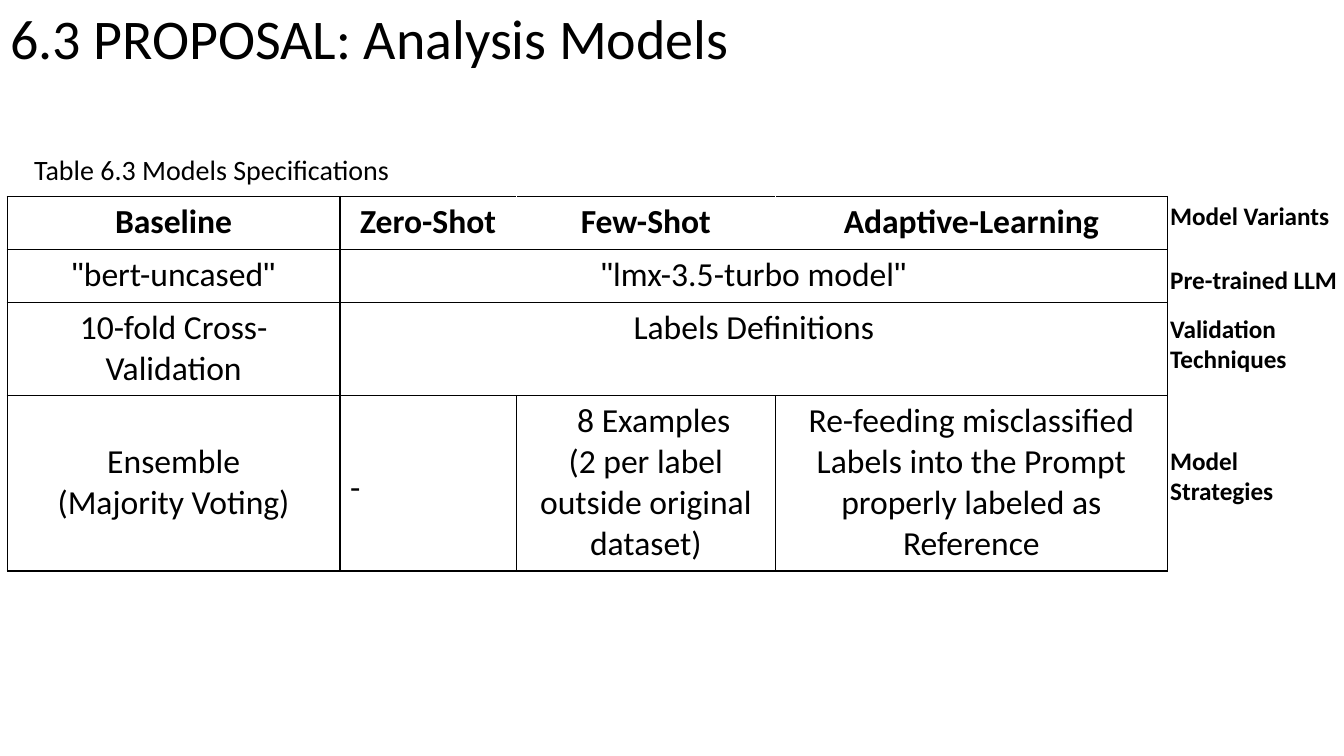
from itertools import groupby

from lxml import etree
from pptx import Presentation
from pptx.dml.color import RGBColor
from pptx.enum import text
from pptx.oxml import ns
from pptx.util import Cm, Pt

BLACK = RGBColor(0x00, 0x00, 0x00)
WHITE = RGBColor(0xFF, 0xFF, 0xFF)
SLIDE_WIDTH, SLIDE_HEIGHT = Cm(33.87), Cm(19.05)
COLUMN_WIDTHS = (8.39, 4.44, 6.53, 9.88)
ROW_HEIGHTS = (1.34, 1.34, 2.34, 4.42)
SPECIFICATIONS = (
    ("Baseline", "Zero-Shot", "Few-Shot", "Adaptive-Learning"),
    ('"bert-uncased"', '"lmx-3.5-turbo model"', None, None),
    ("10-fold Cross-Validation", "Labels Definitions", None, None),
    (
        "Ensemble\n(Majority Voting)",
        "-",
        "8 Examples\n(2 per label outside original dataset)",
        "Re-feeding misclassified Labels into the Prompt properly labeled as Reference",
    ),
)
ROW_LABELS = (
    ("Model Variants", 0),
    ("Pre-trained LLM", 1.61),
    ("Validation\nTechniques", 2.83),
    ("Model\nStrategies", 6.16),
)


def write_text(frame, content, size=24, bold=False, align=text.PP_ALIGN.LEFT):
    """Fill a text frame, one paragraph a line, with straight quotes in Arial."""
    frame.word_wrap = True
    for number, line in enumerate(content.split("\n")):
        paragraph = frame.add_paragraph() if number else frame.paragraphs[0]
        paragraph.alignment = align
        for quoted, letters in groupby(line, key=lambda letter: letter == '"'):
            run = paragraph.add_run()
            run.text = "".join(letters)
            run.font.name = "Arial" if quoted else "Calibri"
            run.font.size = Pt(size)
            run.font.bold = bold
            run.font.color.rgb = BLACK


def add_label(slide, content, left, top, width, height, **style):
    """Add a text box with the given text format."""
    label = slide.shapes.add_textbox(left, top, width, height).text_frame
    write_text(label, content, **style)
    return label


def draw_borders(cell, colors):
    """Draw one-point borders on the left, right, top and bottom of a cell."""
    properties = cell._tc.get_or_add_tcPr()
    for side, color in zip(("lnL", "lnR", "lnT", "lnB"), colors):
        border = etree.SubElement(properties, ns.qn(f"a:{side}"), w=str(Pt(1)))
        fill = etree.SubElement(border, ns.qn("a:solidFill"))
        etree.SubElement(fill, ns.qn("a:srgbClr"), val=str(color))


def build_title(slide, left, top, width, height):
    """Place and format the slide title."""
    heading = slide.shapes.title
    heading.left, heading.top, heading.width, heading.height = left, top, width, height
    frame = heading.text_frame
    write_text(frame, "6.3 PROPOSAL: Analysis Models", size=40)
    frame.auto_size = text.MSO_AUTO_SIZE.NONE
    frame.vertical_anchor = text.MSO_ANCHOR.MIDDLE
    frame.paragraphs[0].line_spacing = 0.9


def build_specifications(slide, left, top, width, height):
    """Place the caption and the table of model specifications."""
    add_label(slide, "Table 6.3 Models Specifications",
              left + Cm(0.43), top - Cm(1.22), Cm(14.25), Cm(1.19), size=20)
    models = slide.shapes.add_table(
        len(ROW_HEIGHTS), len(COLUMN_WIDTHS), left, top, width, height).table
    models.first_row = models.horz_banding = False
    for column, column_width in zip(models.columns, COLUMN_WIDTHS):
        column.width = Cm(column_width)
    for row, row_height in zip(models.rows, ROW_HEIGHTS):
        row.height = Cm(row_height)
    for row in (1, 2):
        models.cell(row, 1).merge(models.cell(row, 3))

    for row, entries in enumerate(SPECIFICATIONS):
        for column, entry in enumerate(entries):
            if entry is None:
                continue
            cell = models.cell(row, column)
            header = row == 0
            left_color = WHITE if header and column > 1 else BLACK
            right_color = WHITE if header and column in (1, 2) else BLACK
            draw_borders(cell, (left_color, right_color, BLACK, BLACK))
            cell.fill.solid()
            cell.fill.fore_color.rgb = WHITE
            align = text.PP_ALIGN.JUSTIFY if entry == "-" else text.PP_ALIGN.CENTER
            write_text(cell.text_frame, entry, bold=header, align=align)

    strategies = len(ROW_HEIGHTS) - 1
    models.cell(strategies, 0).margin_top = Cm(1.16)
    models.cell(strategies, 1).margin_top = Cm(1.82)
    examples = models.cell(strategies, 2).text_frame.paragraphs[0]
    examples._p.get_or_add_pPr().set("marL", str(Cm(0.4)))


def build_row_labels(slide, left, top, width):
    """Place the bold row names beside the table."""
    for content, offset in ROW_LABELS:
        label = add_label(slide, content, left, top + Cm(offset), width, Cm(1.12),
                          size=18, bold=True)
        label.margin_right = 0


def main():
    """Build and save the slide."""
    deck = Presentation()
    deck.slide_width, deck.slide_height = SLIDE_WIDTH, SLIDE_HEIGHT
    slide = deck.slides.add_slide(deck.slide_layouts[5])
    build_title(slide, 0, Cm(-0.81), Cm(29.21), Cm(3.68))
    build_specifications(slide, Cm(0.18), Cm(4.95),
                         Cm(sum(COLUMN_WIDTHS)), Cm(sum(ROW_HEIGHTS)))
    labels_left = Cm(29.24)
    build_row_labels(slide, labels_left, Cm(4.93), SLIDE_WIDTH - labels_left)
    deck.save("out.pptx")


if __name__ == "__main__":
    main()
